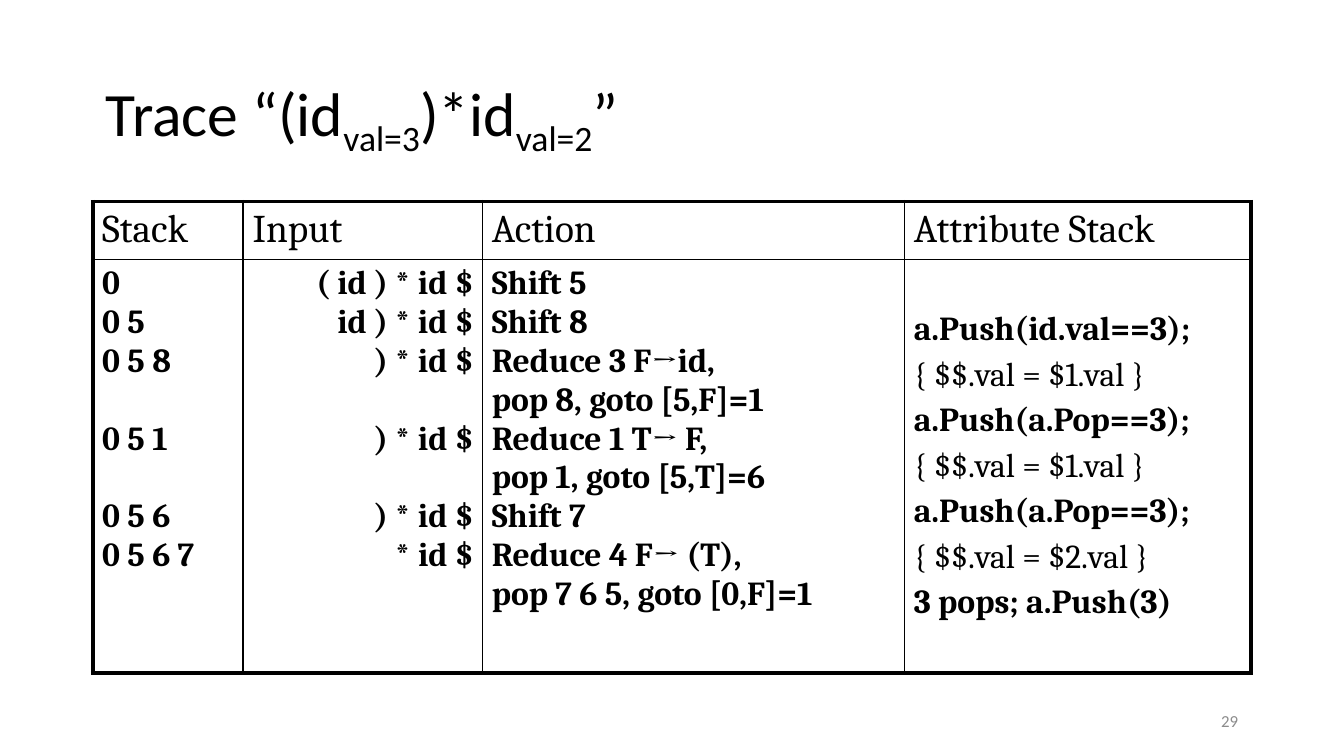
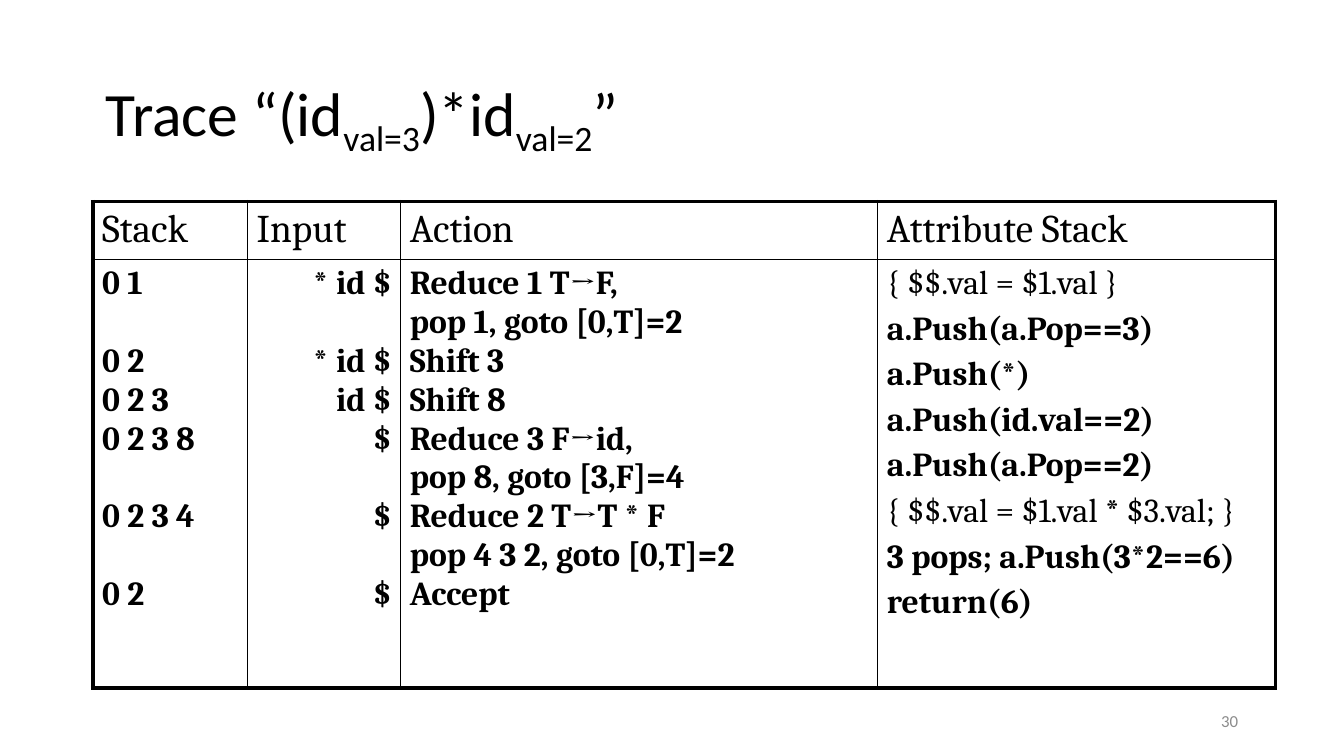
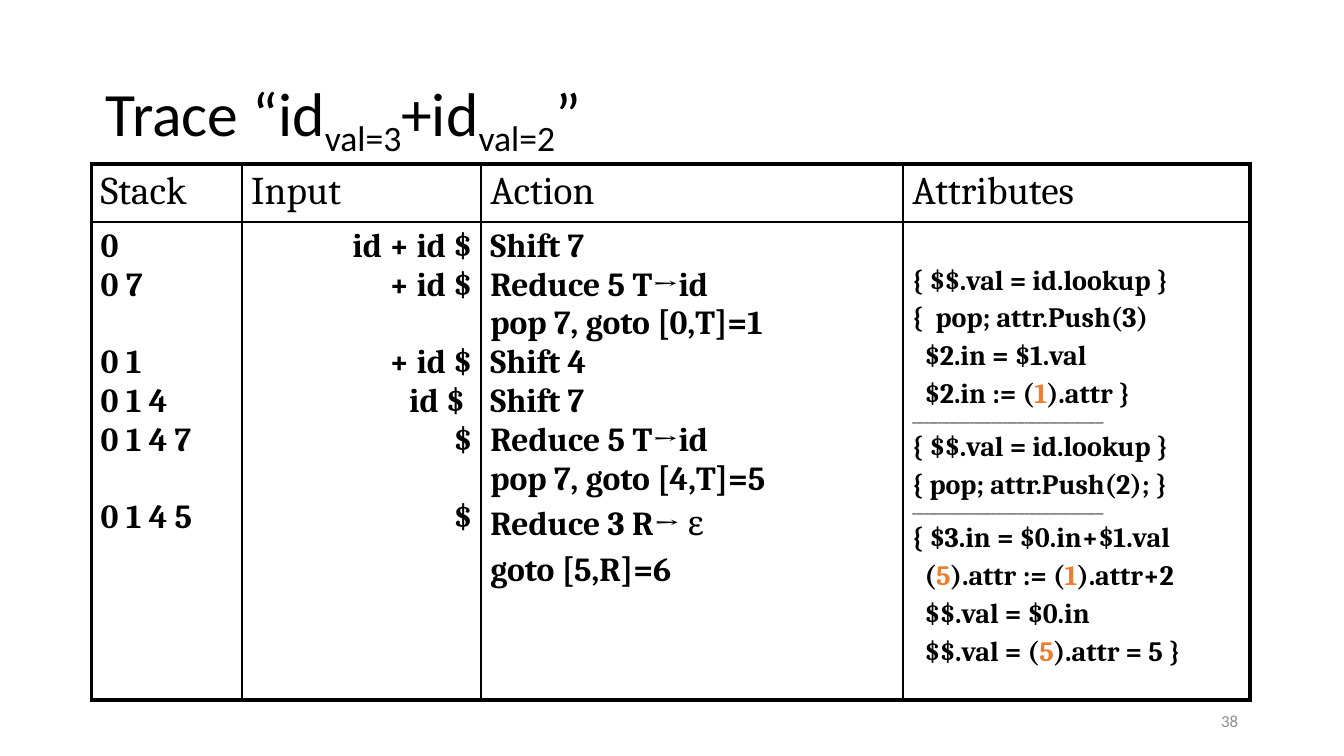
from dataclasses import dataclass

from lxml.etree import SubElement
from pptx import Presentation
from pptx.dml.color import RGBColor
from pptx.enum.text import MSO_ANCHOR, PP_ALIGN
from pptx.oxml.ns import qn
from pptx.util import Inches, Pt


@dataclass(frozen=True)
class Theme:
    ink: str = "000000"
    accent: str = "ED7D31"
    muted: str = "8C8C8C"
    title_font: str = "Calibri"
    table_font: str = "Cambria"
    title_size: float = 33
    header_size: float = 21
    body_size: float = 18
    small_size: float = 15
    rule_size: float = 6
    number_size: float = 9
    outer_line: float = 2.25
    inner_line: float = 1
    body_line: float = 20.8  # height of one body line, in points
    gap_share: float = 0.2  # paragraph gap as a share of the type size


THEME = Theme()
TITLE_BOX = (0.69, 0.3, 8.62, 1.09)
NUMBER_BOX = (7.06, 5.21, 2.25, 0.3)
MARK = "~"  # encloses the specially styled part of a line


@dataclass
class Step:
    """One parser step; spaced gives each action line its own gap."""
    stack: str
    input: str
    actions: tuple
    spaced: bool = False


@dataclass
class Line:
    text: str
    bold: bool = True
    size: float = THEME.body_size


@dataclass
class Trace:
    number: int
    title: tuple  # plain and subscript parts in turn
    origin: tuple
    columns: tuple
    rows: tuple
    attribute_header: str
    steps: list
    attributes: list
    attribute_top: float = 0.04


def add_run(paragraph, text, size, color=THEME.ink, font=THEME.table_font, bold=False):
    run = paragraph.add_run()
    run.text = text
    run.font.name = font
    run.font.size = Pt(size)
    run.font.bold = bold
    run.font.color.rgb = RGBColor.from_string(color)
    return run


def next_paragraph(text_frame, space_before=0):
    """Return the empty first paragraph, or add one below the others."""
    paragraph = text_frame.paragraphs[0]
    if paragraph.runs:
        paragraph = text_frame.add_paragraph()
        paragraph.space_before = Pt(space_before)
    return paragraph


def add_text_box(slide, box):
    text_frame = slide.shapes.add_textbox(*map(Inches, box)).text_frame
    text_frame.word_wrap = True
    text_frame.vertical_anchor = MSO_ANCHOR.MIDDLE
    return text_frame


def add_title(slide, box, parts):
    paragraph = add_text_box(slide, box).paragraphs[0]
    paragraph.line_spacing = 0.9
    for index, part in enumerate(parts):
        run = add_run(paragraph, part, THEME.title_size, font=THEME.title_font)
        if index % 2:
            run._r.get_or_add_rPr().set("baseline", "-25000")


def add_slide_number(slide, box, number):
    paragraph = add_text_box(slide, box).paragraphs[0]
    paragraph.alignment = PP_ALIGN.RIGHT
    add_run(paragraph, str(number), THEME.number_size, THEME.muted, THEME.title_font)


def set_borders(cell, widths):
    """Draw the left, right, top and bottom borders, widths in points."""
    properties = cell._tc.get_or_add_tcPr()
    for side, width in zip("LRTB", widths):
        line = SubElement(properties, qn(f"a:ln{side}"), w=str(Pt(width)))
        fill = SubElement(line, qn("a:solidFill"))
        SubElement(fill, qn("a:srgbClr"), val=THEME.ink)


def style_cells(table):
    last_row, last_column = len(table.rows) - 1, len(table.columns) - 1
    for row in range(last_row + 1):
        for column in range(last_column + 1):
            cell = table.cell(row, column)
            cell.margin_left = cell.margin_right = Inches(0.07)
            cell.margin_top = cell.margin_bottom = Inches(0.04)
            on_edge = (column == 0, column == last_column, row == 0, row == last_row)
            set_borders(cell, [THEME.outer_line if edge else THEME.inner_line for edge in on_edge])
            cell.fill.background()


def fill_steps(stack_frame, input_frame, action_frame, steps):
    """Write the steps so that each stack and input meets its first action line."""
    size = THEME.body_size
    gap = 0
    for step in steps:
        for text_frame, text in ((stack_frame, step.stack), (input_frame, step.input)):
            paragraph = next_paragraph(text_frame, gap)
            if text_frame is input_frame:
                paragraph.alignment = PP_ALIGN.RIGHT
            add_run(paragraph, text, size, bold=True)
        gap = (len(step.actions) - 1) * THEME.body_line

        for index, action in enumerate(step.actions):
            if index and not step.spaced:
                paragraph.add_line_break()
            else:
                paragraph = next_paragraph(action_frame, step.spaced * THEME.gap_share * size)
            for part, text in enumerate(action.split(MARK)):
                if text:
                    add_run(paragraph, text, size, bold=part % 2 == 0)


def fill_attributes(text_frame, lines):
    for line in lines:
        paragraph = next_paragraph(text_frame, THEME.gap_share * line.size)
        for part, text in enumerate(line.text.split(MARK)):
            color = THEME.accent if part % 2 else THEME.ink
            add_run(paragraph, text, line.size, color, bold=line.bold)


def add_trace_table(slide, trace):
    box = (*trace.origin, sum(trace.columns), sum(trace.rows))
    table = slide.shapes.add_table(2, 4, *map(Inches, box)).table
    table.first_row = table.horz_banding = False
    for column, width in zip(table.columns, trace.columns):
        column.width = Inches(width)
    for row, height in zip(table.rows, trace.rows):
        row.height = Inches(height)
    style_cells(table)

    # Header row
    for index, header in enumerate(("Stack", "Input", "Action", trace.attribute_header)):
        add_run(table.cell(0, index).text_frame.paragraphs[0], header, THEME.header_size)

    # Body row
    *step_cells, attribute_cell = [table.cell(1, index) for index in range(4)]
    fill_steps(*[cell.text_frame for cell in step_cells], trace.steps)
    attribute_cell.margin_top = Inches(trace.attribute_top)
    fill_attributes(attribute_cell.text_frame, trace.attributes)


def add_trace_slide(presentation, trace):
    slide = presentation.slides.add_slide(presentation.slide_layouts[6])
    add_title(slide, TITLE_BOX, trace.title)
    add_trace_table(slide, trace)
    add_slide_number(slide, NUMBER_BOX, trace.number)


def small(text):
    return Line(text, size=THEME.small_size)


PRODUCT_TITLE = ("Trace “(id", "val=3", ")*id", "val=2", "”")
SUM_TITLE = ("Trace “id", "val=3", "+id", "val=2", "”")
WIDE_INPUT = (1.12, 1.78, 3.14, 2.58)
COPY_VALUE = Line("{ $$.val = $1.val }", bold=False)
PUSH_POPPED = Line("a.Push(a.Pop==3);")
LOOKUP = small("{ $$.val = id.lookup }")
DIVIDER = Line("_" * 46, size=THEME.rule_size)

TRACES = [
    Trace(
        29, PRODUCT_TITLE, (0.69, 1.5), WIDE_INPUT, (0.42, 3.08), "Attribute Stack",
        steps=[
            Step("0", "( id ) * id $", ("Shift 5",)),
            Step("0 5", "id ) * id $", ("Shift 8",)),
            Step("0 5 8", ") * id $", ("Reduce 3 F→id, ", "pop 8, goto [5,F]=1")),
            Step("0 5 1", ") * id $", ("Reduce 1 T→ F,", "pop 1, goto [5,T]=6")),
            Step("0 5 6", ") * id $", ("Shift 7",)),
            Step("0 5 6 7", "* id $", ("Reduce 4 F→ (T),", "pop 7 6 5, goto [0,F]=1")),
        ],
        attributes=[
            Line("a.Push(id.val==3);"),
            COPY_VALUE,
            PUSH_POPPED,
            COPY_VALUE,
            PUSH_POPPED,
            Line("{ $$.val = $2.val }", bold=False),
            Line("3 pops; a.Push(3)"),
        ],
        attribute_top=0.38,
    ),
    Trace(
        30, PRODUCT_TITLE, (0.69, 1.5), (1.15, 1.14, 3.55, 2.96), (0.42, 3.19), "Attribute Stack",
        steps=[
            Step("0 1", "* id $", ("Reduce 1 T→F,", "pop 1, goto [0,T]=2")),
            Step("0 2", "* id $", ("Shift 3",)),
            Step("0 2 3", "id $", ("Shift 8",)),
            Step("0 2 3 8", "$", ("Reduce 3 F→id,", "pop 8, goto [3,F]=4")),
            Step("0 2 3 4", "$", ("Reduce 2 T→T * F", "pop 4 3 2, goto [0,T]=2")),
            Step("0 2", "$", ("Accept",)),
        ],
        attributes=[
            COPY_VALUE,
            Line("a.Push(a.Pop==3)"),
            Line("a.Push(*)"),
            Line("a.Push(id.val==2)"),
            Line("a.Push(a.Pop==2)"),
            Line("{ $$.val = $1.val * $3.val; }", bold=False),
            Line("3 pops; a.Push(3*2==6)"),
            Line("return(6)"),
        ],
    ),
    Trace(
        38, SUM_TITLE, (0.68, 1.22), WIDE_INPUT, (0.42, 3.56), "Attributes",
        steps=[
            Step("0", "id + id $", ("Shift 7",)),
            Step("0 7", "+ id $", ("Reduce 5 T→id", "pop 7, goto [0,T]=1")),
            Step("0 1", "+ id $", ("Shift 4",)),
            Step("0 1 4", "id $ ", ("Shift 7",)),
            Step("0 1 4 7", "$", ("Reduce 5 T→id", "pop 7, goto [4,T]=5")),
            Step("0 1 4 5", "$", ("Reduce 3 R→ ~ε~", "goto [5,R]=6"), spaced=True),
        ],
        attributes=[
            LOOKUP,
            small("{  pop; attr.Push(3)"),
            small("  $2.in = $1.val"),
            small("  $2.in := (~1~).attr }"),
            DIVIDER,
            LOOKUP,
            small("{ pop; attr.Push(2); }"),
            DIVIDER,
            small("{ $3.in = $0.in+$1.val"),
            small("  (~5~).attr := (~1~).attr+2"),
            small("  $$.val = $0.in"),
            small("  $$.val = (~5~).attr = 5 }"),
        ],
        attribute_top=0.32,
    ),
]


def main():
    presentation = Presentation()
    presentation.slide_width = Inches(10)
    presentation.slide_height = Inches(10) * 9 // 16  # widescreen
    for trace in TRACES:
        add_trace_slide(presentation, trace)
    presentation.save("out.pptx")


if __name__ == "__main__":
    main()
